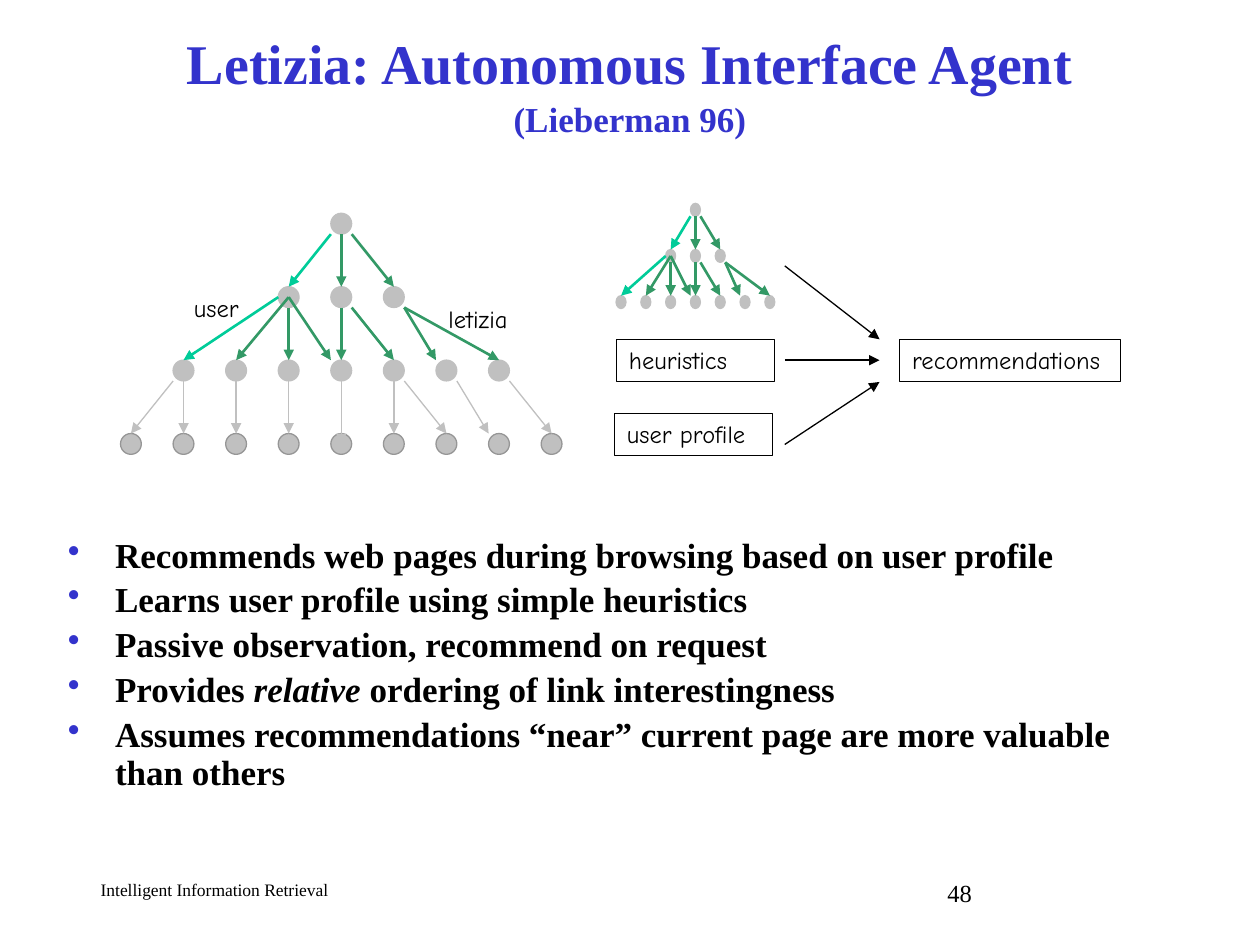
from lxml.etree import SubElement
from pptx import Presentation
from pptx.dml.color import RGBColor
from pptx.enum.shapes import MSO_CONNECTOR, MSO_SHAPE
from pptx.enum.text import MSO_ANCHOR, PP_ALIGN
from pptx.oxml.ns import qn
from pptx.util import Cm, Pt

BLUE = RGBColor(0x33, 0x33, 0xCC)
BLACK = RGBColor(0, 0, 0)
GRAY = RGBColor(0xC0, 0xC0, 0xC0)
OUTLINE_GRAY = RGBColor(0x96, 0x96, 0x96)
USER_GREEN = RGBColor(0x00, 0xCC, 0x99)
AGENT_GREEN = RGBColor(0x33, 0x99, 0x66)
SERIF = "Times New Roman"
COMIC = "Comic Neue"

TITLE = [("Letizia: Autonomous Interface Agent", 32), (" ", 36), ("(Lieberman 96)", 20)]
# Each bullet is a list of runs; every second run is italic.
BULLETS = [
    ["Recommends web pages during browsing based on user profile"],
    ["Learns user profile using simple heuristics"],
    ["Passive observation, recommend on request"],
    ["Provides ", "relative", " ordering of link interestingness"],
    ["Assumes recommendations “near” current page are more valuable than others"],
]
# text, left, top, width, height, size, font
LABELS = [
    ("Intelligent Information Retrieval", 1.78, 17.6, 9.53, 0.64, 10, SERIF),
    ("48", 18.85, 17.58, 5.28, 0.64, 14, SERIF),
    ("user", 3.66, 5.79, 1.52, 0.84, 14, COMIC),
    ("letizia", 8.79, 6, 1.93, 0.84, 14, COMIC),
]
# text, left, top, width
BOXES = [
    ("user profile", 12.39, 8.33, 3.18),
    ("heuristics", 12.43, 6.84, 3.18),
    ("recommendations", 18.14, 6.84, 4.45),
]
BOX_HEIGHT = 0.85
# start y and end y of the arrows that lead to the recommendations
FLOW_LEFT, FLOW_RIGHT = 15.82, 17.73
FLOWS = [(5.36, 6.84), (7.26, 7.26), (8.96, 7.7)]

# columns on each side of the middle, outline of the nodes
TREE_ROWS = [(0, GRAY), (1, GRAY), (3, GRAY), (4, OUTLINE_GRAY)]
# parent row, parent column, child column, colour, then offsets in node radii:
# start x, start y, end x, end y
TREE_EDGES = [
    (0, 0, -1, USER_GREEN, -1, 1, 0, -1),
    (0, 0, 0, AGENT_GREEN, 0, 1, 0, -1),
    (0, 0, 1, AGENT_GREEN, 1, 1, 0, -1),
    (1, -1, -3, USER_GREEN, -1, 0, 0, -1),
    (1, -1, -2, AGENT_GREEN, 0, 0, 0, -1),
    (1, -1, -1, AGENT_GREEN, 0, 1, 0, -1),
    (1, -1, 0, AGENT_GREEN, 0, 0, -1, -1),
    (1, 0, 0, AGENT_GREEN, 0, 1, 0, -1),
    (1, 0, 1, AGENT_GREEN, 1, 1, 0, -1),
    (1, 1, 3, AGENT_GREEN, 1, 1, 0, -1),
    (1, 1, 2, AGENT_GREEN, 1, 1, -1, -1),
    (2, -3, -4, GRAY, -1, 1, 0, -1),
    (2, -3, -3, GRAY, 0, 1, 0, -1),
    (2, -2, -2, GRAY, 0, 1, 0, -1),
    (2, -1, -1, GRAY, 0, 1, 0, -1),
    (2, 0, 0, GRAY, 0, 1, 0, 0),
    (2, 1, 1, GRAY, 0, 1, 0, -1),
    (2, 1, 2, GRAY, 1, 1, 0, -1),
    (2, 2, 3, GRAY, 1, 1, -1, -1),
    (2, 3, 4, GRAY, 1, 1, 0, -1),
]
# root centre, node size, column and row pitch, number of rows
FULL_TREE = dict(root=(6.88, 4.51), node=(0.42, 0.42), pitch=(1.06, 1.48), rows=4)
SMALL_TREE = dict(root=(14.02, 4.23), node=(0.2, 0.26), pitch=(0.5, 0.93), rows=3)


def style_font(font, size, name, color=BLACK, bold=False):
    font.size, font.name, font.bold = Pt(size), name, bold
    font.color.rgb = color


def add_arrow(shapes, start, end, color, width):
    ends = [Cm(value) for value in (*start, *end)]
    connector = shapes.add_connector(MSO_CONNECTOR.STRAIGHT, *ends)
    connector.line.color.rgb = color
    connector.line.width = Pt(width)
    SubElement(connector.line._get_or_add_ln(), qn("a:tailEnd"), type="triangle")
    SubElement(connector._element.spPr, qn("a:effectLst"))


def add_tree(shapes, root, node, pitch, rows):
    def point(row, column, offset_x=0, offset_y=0):
        return (root[0] + column * pitch[0] + offset_x * node[0] / 2,
                root[1] + row * pitch[1] + offset_y * node[1] / 2)

    for row, (reach, outline) in enumerate(TREE_ROWS[:rows]):
        for column in range(-reach, reach + 1):
            left, top = point(row, column, -1, -1)
            shape = shapes.add_shape(MSO_SHAPE.OVAL, Cm(left), Cm(top), Cm(node[0]), Cm(node[1]))
            shape.shadow.inherit = False
            shape.fill.solid()
            shape.fill.fore_color.rgb = GRAY
            shape.line.color.rgb = outline
            shape.line.width = Pt(0.75)
    for row, parent, child, color, start_x, start_y, end_x, end_y in TREE_EDGES:
        if row + 1 < rows:
            add_arrow(shapes, point(row, parent, start_x, start_y),
                      point(row + 1, child, end_x, end_y), color, 0.75 if color == GRAY else 1.5)


def add_title(slide):
    title = slide.shapes.title
    title.left, title.top, title.width, title.height = Cm(1.9), Cm(0.66), Cm(21.6), Cm(1.93)
    title.text_frame.vertical_anchor = MSO_ANCHOR.MIDDLE
    paragraph = title.text_frame.paragraphs[0]
    paragraph.alignment = PP_ALIGN.CENTER
    for text, size in TITLE:
        run = paragraph.add_run()
        run.text = text
        style_font(run.font, size, SERIF, BLUE, bold=True)


def add_bullets(slide):
    frame = slide.shapes.add_textbox(Cm(1.12), Cm(10.72), Cm(22.7), Cm(5.92)).text_frame
    frame.word_wrap = True
    for index, texts in enumerate(BULLETS):
        paragraph = frame.add_paragraph() if index else frame.paragraphs[0]
        paragraph.line_spacing = 0.9
        if index:
            paragraph.space_before = Pt(4)
        properties = paragraph._p.get_or_add_pPr()
        properties.set("marL", str(Cm(0.95)))
        properties.set("indent", str(-Cm(0.95)))
        bullet_color = SubElement(properties, qn("a:buClr"))
        SubElement(bullet_color, qn("a:srgbClr"), val=str(BLUE))
        SubElement(properties, qn("a:buChar"), char="•")
        for position, text in enumerate(texts):
            run = paragraph.add_run()
            run.text = text
            style_font(run.font, 20, SERIF, bold=True)
            run.font.italic = position % 2 == 1


def add_label(slide, text, left, top, width, height, size, font_name):
    frame = slide.shapes.add_textbox(Cm(left), Cm(top), Cm(width), Cm(height)).text_frame
    frame.text = text
    style_font(frame.paragraphs[0].runs[0].font, size, font_name)


def add_box(slide, text, left, top, width):
    shape = slide.shapes.add_shape(
        MSO_SHAPE.RECTANGLE, Cm(left), Cm(top), Cm(width), Cm(BOX_HEIGHT))
    shape.shadow.inherit = False
    shape.fill.background()
    shape.line.color.rgb = BLACK
    shape.line.width = Pt(0.75)
    frame = shape.text_frame
    frame.word_wrap = False
    frame.vertical_anchor = MSO_ANCHOR.TOP
    frame.text = text
    frame.paragraphs[0].alignment = PP_ALIGN.LEFT
    style_font(frame.paragraphs[0].runs[0].font, 14, COMIC)


def main():
    presentation = Presentation()
    presentation.slide_width, presentation.slide_height = Cm(25.4), Cm(19.05)
    slide = presentation.slides.add_slide(presentation.slide_layouts[5])
    add_title(slide)
    add_bullets(slide)
    add_tree(slide.shapes, **FULL_TREE)
    add_tree(slide.shapes.add_group_shape().shapes, **SMALL_TREE)
    for label in LABELS:
        add_label(slide, *label)
    for box in BOXES:
        add_box(slide, *box)
    for start_y, end_y in FLOWS:
        add_arrow(slide.shapes, (FLOW_LEFT, start_y), (FLOW_RIGHT, end_y), BLACK, 0.75)
    presentation.save("out.pptx")


if __name__ == "__main__":
    main()
